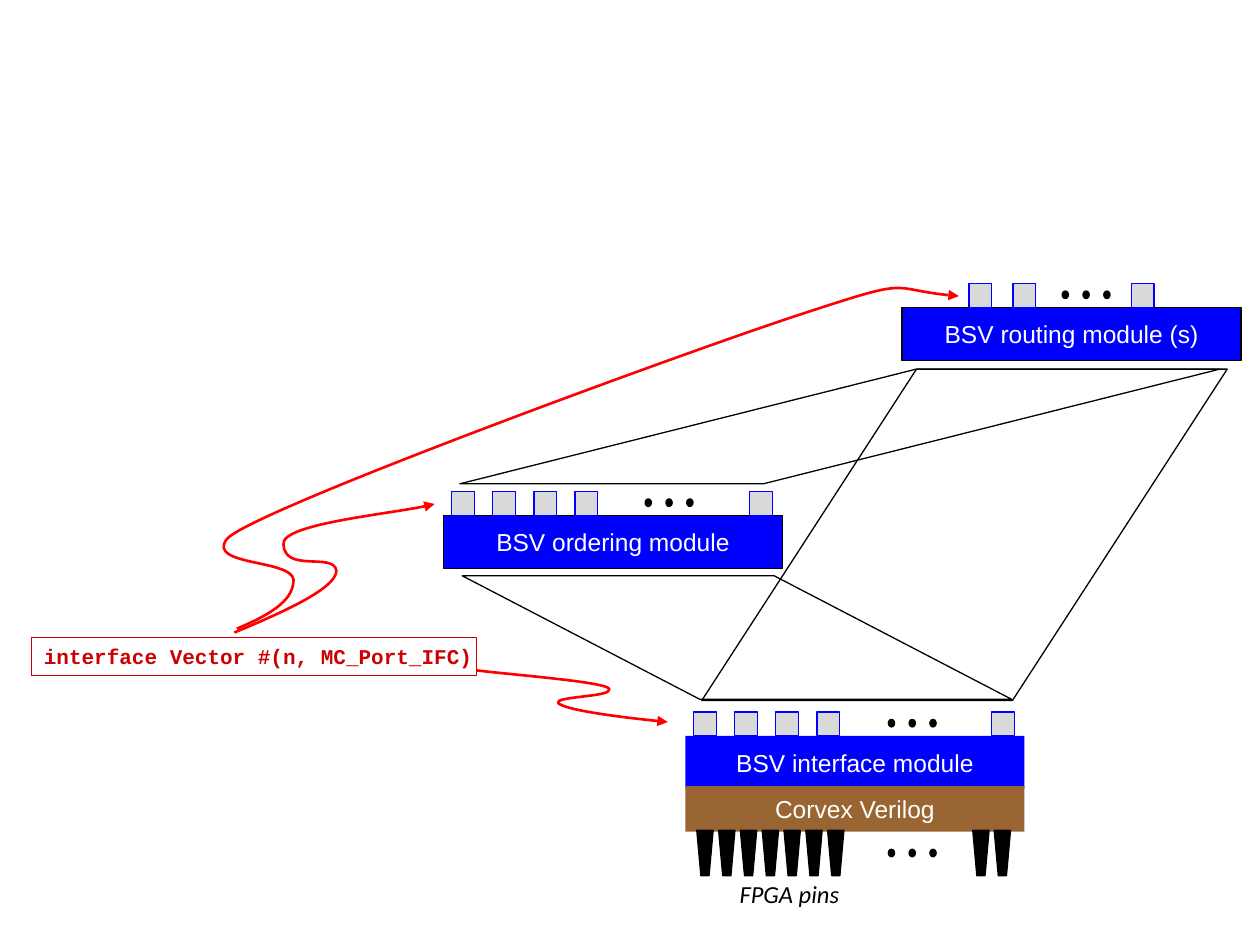
"""Build the slide of layered BSV modules above the FPGA pins."""
from dataclasses import dataclass
from lxml import etree
from pptx import Presentation
from pptx import util as u
from pptx.dml import color
from pptx.enum import shapes, text
from pptx.oxml import ns

KIND = shapes.MSO_SHAPE
ALIGN = text.PP_ALIGN
ANCHOR = text.MSO_ANCHOR


@dataclass(frozen=True)
class Theme:
    """Hold the colours, fonts and sizes."""
    blue: str = "0000FF"
    brown: str = "996633"
    grey: str = "D9D9D9"
    black: str = "000000"
    white: str = "FFFFFF"
    red: str = "FF0000"
    dark: str = "CC0000"
    sans: str = "Arial"
    note: str = "Calibri"
    mono: str = "Courier New"
    size: float = 14
    small: float = 12
    thin: float = 0.75
    thick: float = 1.5


T = Theme()


def rgb(code):
    """Turn a hex code into a colour."""
    return color.RGBColor.from_string(code)


def paint(shape, fill=None, line=None, width=T.thin):
    """Set fill and line, and drop the shadow."""
    shape.shadow.inherit = False
    if fill:
        shape.fill.solid()
        shape.fill.fore_color.rgb = rgb(fill)
    else:
        shape.fill.background()
    if line:
        shape.line.color.rgb = rgb(line)
        shape.line.width = u.Pt(width)
    else:
        shape.line.fill.background()


def draw(host, kind, box, fill=None, line=None, adj=None):
    """Add a preset shape in the given box."""
    shape = host.add_shape(kind, *map(u.Inches, box))
    paint(shape, fill, line)
    if adj is not None:
        shape.adjustments[0] = adj
    return shape


def write(shape, words, font=T.sans, size=T.size, ink=T.white, bold=False,
          slant=False, align=ALIGN.CENTER, anchor=ANCHOR.MIDDLE,
          inset=(0, 0, 0, 0), wrap=True):
    """Put formatted text into a shape."""
    frame = shape.text_frame
    frame.word_wrap = wrap
    frame.vertical_anchor = anchor
    (frame.margin_left, frame.margin_top,
     frame.margin_right, frame.margin_bottom) = map(u.Inches, inset)
    para = frame.paragraphs[0]
    para.alignment = align
    run = para.add_run()
    run.text = words
    run.font.name = font
    run.font.size = u.Pt(size)
    run.font.color.rgb = rgb(ink)
    run.font.bold = bold
    run.font.italic = slant


def dots(host, x, y):
    """Add a group of three dots."""
    group = host.add_group_shape().shapes
    for i in range(3):
        draw(group, KIND.OVAL, (x + i * 0.165, y, 0.05, 0.06), T.black, T.black)


def module(host, box, words, ports, gap, line=None):
    """Add a module with its row of ports and dots."""
    x, y, w, h = box
    bar = draw(host, KIND.RECTANGLE, box, T.blue, line)
    write(bar, words)
    for dx in ports:
        draw(host, KIND.RECTANGLE, (x + dx, y - 0.19, 0.18, 0.19), T.grey, T.blue)
    dots(host, x + gap, y - 0.13)


def base(host, box):
    """Add the Verilog bar, its pins and their caption."""
    x, y, w, h = box
    bar = draw(host, KIND.RECTANGLE, box, T.brown)
    write(bar, "Corvex Verilog")
    left = [0.09 + i * 0.173 for i in range(7)]
    for dx in left + [2.28, 2.45]:
        pin = draw(host, KIND.TRAPEZOID, (x + dx, y + 0.35, 0.13, 0.36),
                   T.black, T.black)
        pin.rotation = 180
    dots(host, x + 1.61, y + 0.5)
    label = host.add_textbox(*map(u.Inches, (x + 0.43, y + 0.74, 1.8, 0.24)))
    write(label, "FPGA pins", font=T.note, ink=T.black, slant=True,
          align=ALIGN.LEFT, anchor=ANCHOR.TOP)


def link(host, box, adj, flip=False):
    """Add an outlined parallelogram joining two modules."""
    shape = draw(host, KIND.PARALLELOGRAM, box, line=T.black, adj=adj)
    if flip:
        shape._element.spPr.find(ns.qn("a:xfrm")).set("flipH", "1")


def curve(host, points):
    """Add a red Bezier arrow from a start and triples of control points."""
    start, *rest = [(u.Inches(x), u.Inches(y)) for x, y in points]
    pen = host.build_freeform(*start)
    pen.add_line_segments(rest, close=False)
    shape = pen.convert_to_shape()
    paint(shape, line=T.red, width=T.thick)
    steps = list(shape._element.iter(ns.qn("a:lnTo")))
    for i in range(0, len(steps), 3):
        bend = etree.Element(ns.qn("a:cubicBezTo"))
        steps[i].addprevious(bend)
        for step in steps[i:i + 3]:
            bend.append(step[0])
            step.getparent().remove(step)
    line = shape._element.spPr.find(ns.qn("a:ln"))
    etree.SubElement(line, ns.qn("a:tailEnd"), type="triangle")


def callout(host, box):
    """Add the interface label and its three arrows."""
    tag = draw(host, KIND.RECTANGLE, box, line=T.dark)
    write(tag, "interface Vector #(n, MC_Port_IFC)", font=T.mono, size=T.small,
          ink=T.dark, bold=True, align=ALIGN.LEFT, anchor=ANCHOR.TOP,
          inset=(0.1, 0.05, 0, 0.05), wrap=False)
    x, y = box[:2]
    routes = [
        [(3.53, 0.26), (3.85, 0.3), (4.67, 0.36), (4.58, 0.42), (4.57, 0.47),
         (4.14, 0.47), (4.18, 0.52), (4.23, 0.57), (4.63, 0.63), (5.05, 0.67)],
        [(1.61, -0.04), (1.92, -0.17), (2.42, -0.38), (2.42, -0.53),
         (2.4, -0.68), (2.01, -0.51), (2, -0.74), (1.98, -0.9),
         (2.95, -0.99), (3.2, -1.06)],
        [(1.63, -0.07), (1.94, -0.2), (2.08, -0.31), (2.08, -0.46),
         (2.06, -0.62), (1.39, -0.57), (1.55, -0.78), (1.71, -0.99),
         (5.09, -2.23), (6.06, -2.55), (7.03, -2.87), (6.75, -2.76),
         (7.36, -2.71)],
    ]
    for route in routes:
        curve(host, [(x + dx, y + dy) for dx, dy in route])


def main():
    """Compose and save the slide."""
    deck = Presentation()
    deck.slide_width, deck.slide_height = u.Inches(10), u.Inches(7.5)
    host = deck.slides.add_slide(deck.slide_layouts[6]).shapes
    row = [0.065 + i * 0.326 for i in range(4)] + [2.43]
    module(host, (3.52, 4.09, 2.69, 0.42), "BSV ordering module", row, 1.6,
           T.black)
    module(host, (5.44, 5.84, 2.69, 0.42), "BSV interface module", row, 1.61)
    base(host, (5.44, 6.24, 2.69, 0.36))
    module(host, (7.16, 2.44, 2.69, 0.42), "BSV routing module (s)",
           [0.53, 0.88, 1.82], 1.27, T.black)
    link(host, (5.57, 2.93, 4.17, 2.63), 0.648)
    link(host, (3.65, 2.93, 6.03, 0.91), 3.98)
    link(host, (3.67, 4.57, 4.36, 0.98), 1.923, flip=True)
    callout(host, (0.25, 5.06, 3.53, 0.3))
    deck.save("out.pptx")


main()
